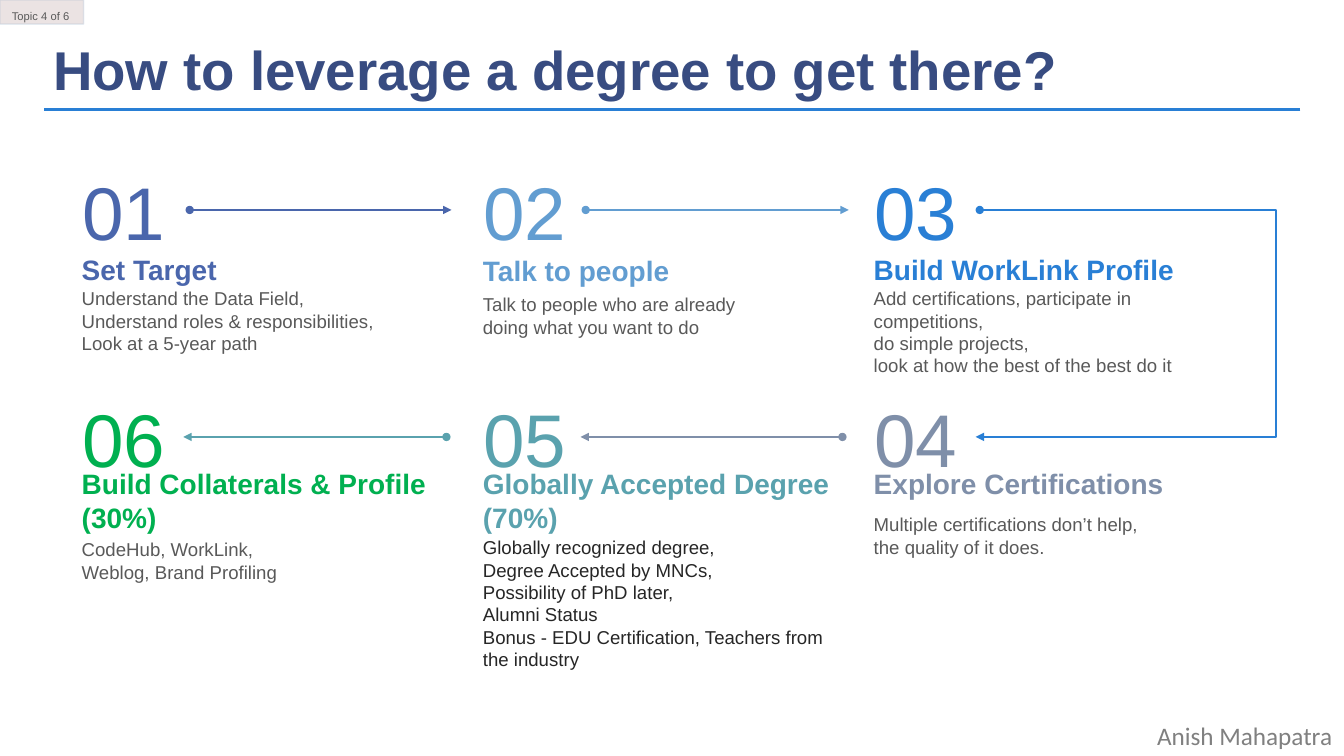
from pptx import Presentation
from pptx.dml.color import RGBColor
from pptx.enum.shapes import MSO_CONNECTOR, MSO_SHAPE
from pptx.enum.text import MSO_ANCHOR, MSO_AUTO_SIZE, PP_ALIGN
from pptx.oxml.ns import qn
from pptx.util import Cm, Pt
from lxml import etree

STRAIGHT, ELBOW = MSO_CONNECTOR.STRAIGHT, MSO_CONNECTOR.ELBOW
RECT = MSO_SHAPE.RECTANGLE
TOP, MIDDLE = MSO_ANCHOR.TOP, MSO_ANCHOR.MIDDLE
LEFT, CENTER = PP_ALIGN.LEFT, PP_ALIGN.CENTER
GROW = MSO_AUTO_SIZE.SHAPE_TO_FIT_TEXT

BLUE, GRAY, DARK = "297FD5", "595959", "262626"
COLS = (2.06, 12.17, 22.02)
ROWS = (4.19, 9.91)
DROP = 1.1  # from the top of a row to its arrows

# Column, row, colour, number, heading, heading width and top,
# body, body width and top, body colour
STEPS = [
    (0, 0, "4A66AC", "01", "Set Target", 3.43, 6.35,
     "Understand the Data Field,\nUnderstand roles & responsibilities,\n"
     "Look at a 5-year path", 8.61, 7.24, GRAY),
    (1, 0, "629DD1", "02", "Talk to people", 4.72, 6.38,
     "Talk to people who are already doing what you want to do",
     7.54, 7.39, GRAY),
    (2, 0, BLUE, "03", "Build WorkLink Profile", 7.8, 6.35,
     "Add certifications, participate in competitions,\n"
     "do simple projects,\nlook at how the best of the best do it",
     9.14, 7.24, GRAY),
    (2, 1, "7F8FA9", "04", "Explore Certifications", 7.54, 11.76,
     "Multiple certifications don’t help,\nthe quality of it does.",
     8.56, 12.93, GRAY),
    (1, 1, "5AA2AE", "05", "Globally Accepted Degree\n(70%)", 8.99, 11.76,
     "Globally recognized degree,\nDegree Accepted by MNCs,\n"
     "Possibility of PhD later,\nAlumni Status\n"
     "Bonus - EDU Certification, Teachers from the industry",
     9.22, 13.51, DARK),
    (0, 1, "00B050", "06", "Build Collaterals & Profile\n(30%)", 8.74, 11.76,
     "CodeHub, WorkLink,\nWeblog, Brand Profiling", 9.07, 13.56, GRAY),
]

# Start, end, row, colour, head, tail
ARROWS = [
    (4.78, 11.38, 0, "4A66AC", "oval", "triangle"),
    (14.76, 21.39, 0, "629DD1", "oval", "triangle"),
    (24.69, 31.29, 0, BLUE, "oval", None),
    (21.23, 14.63, 1, "7F8FA9", "oval", "triangle"),
    (11.25, 4.62, 1, "5AA2AE", "oval", "triangle"),
]


def color(code):
    return RGBColor.from_string(code)


def fade(fill, share):
    """Make a solid fill partly clear."""
    tint = fill.find(".//" + qn("a:srgbClr"))
    etree.SubElement(tint, qn("a:alpha"), val=str(share * 1000))


def write(frame, text, size=13.3, tone=GRAY, font="Arial", bold=False,
          align=LEFT, space=None):
    """Put each line of text in a paragraph of the frame."""
    for i, line in enumerate(text.split("\n")):
        para = frame.paragraphs[0] if i == 0 else frame.add_paragraph()
        para.alignment = align
        if space:
            para.line_spacing = space
        run = para.add_run()
        run.text = line
        run.font.size, run.font.name, run.font.bold = Pt(size), font, bold
        run.font.color.rgb = color(tone)


class Deck:
    def __init__(self):
        self.pres = Presentation()
        self.pres.slide_width, self.pres.slide_height = Cm(33.87), Cm(19.05)
        self.slide = self.pres.slides.add_slide(self.pres.slide_layouts[6])

    def text(self, x, y, w, h, text, wrap=True, pad=True, anchor=TOP, **look):
        box = self.slide.shapes.add_textbox(Cm(x), Cm(y), Cm(w), Cm(h))
        frame = box.text_frame
        frame.word_wrap, frame.auto_size = wrap, GROW
        frame.vertical_anchor = anchor
        if not pad:
            frame.margin_left = frame.margin_right = 0
            frame.margin_top = frame.margin_bottom = 0
        write(frame, text, **look)

    def line(self, x1, y1, x2, y2, tone, width=1.5, head=None, tail=None,
             bend=None):
        kind = STRAIGHT if bend is None else ELBOW
        link = self.slide.shapes.add_connector(
            kind, Cm(x1), Cm(y1), Cm(x2), Cm(y2))
        link.line.color.rgb, link.line.width = color(tone), Pt(width)
        props = link._element.spPr
        stroke = props.find(qn("a:ln"))
        for tag, end in (("a:headEnd", head), ("a:tailEnd", tail)):
            if end:
                etree.SubElement(stroke, qn(tag), type=end)
        etree.SubElement(props, qn("a:effectLst"))
        if bend is not None:
            guides = props.find(".//" + qn("a:avLst"))
            etree.SubElement(guides, qn("a:gd"), name="adj1",
                             fmla=f"val {round(bend * 100000)}")

    def badge(self, x, y, w, h):
        box = self.slide.shapes.add_shape(RECT, Cm(x), Cm(y), Cm(w), Cm(h))
        box.shadow.inherit = False
        box.fill.solid()
        box.fill.fore_color.rgb = color("7A4646")
        box.line.color.rgb, box.line.width = color("1F5FA0"), Pt(1)
        props = box._element.spPr
        fade(props.find(qn("a:solidFill")), 15)
        fade(props.find(qn("a:ln")), 10)

    def step(self, col, row, tone, num, head, wide, high,
             body, span, top, ink):
        x = COLS[col]
        self.text(x, ROWS[row], 2.11, 2.29, num, wrap=False, pad=False,
                  size=53.3, tone=tone, align=CENTER)
        self.text(x, top, span, 0.57 * (body.count("\n") + 1), body,
                  pad=False, tone=ink)
        self.text(x, high, wide, 0.85 * (head.count("\n") + 1), head,
                  wrap=False, pad=False, anchor=MIDDLE, size=20, tone=tone,
                  bold=True)


def main():
    deck = Deck()

    # Frame of the slide
    deck.line(32.77, 2.76, 1.11, 2.76, BLUE, width=2.25)
    deck.badge(0, 0, 2.11, 0.61)
    deck.text(28.91, 18.03, 4.98, 1.02, "Anish Mahapatra", wrap=False,
              size=18, font="Calibri", tone="808080")
    deck.text(1.09, 0.79, 26.21, 1.93,
              "How to leverage a degree to get there?",
              size=39, tone="384C81", bold=True)
    deck.text(0.05, -0.05, 2.06, 0.71, "Topic 4 of 6", size=8, space=1.5)

    # Six steps
    for step in STEPS:
        deck.step(*step)

    # Arrows between the steps
    for x1, x2, row, tone, head, tail in ARROWS:
        y = ROWS[row] + DROP
        deck.line(x1, y, x2, y, tone, head=head, tail=tail)
    deck.line(31.29, ROWS[0] + DROP, 24.59, ROWS[1] + DROP, BLUE,
              tail="triangle", bend=-0.13)

    deck.pres.save("out.pptx")


if __name__ == "__main__":
    main()
